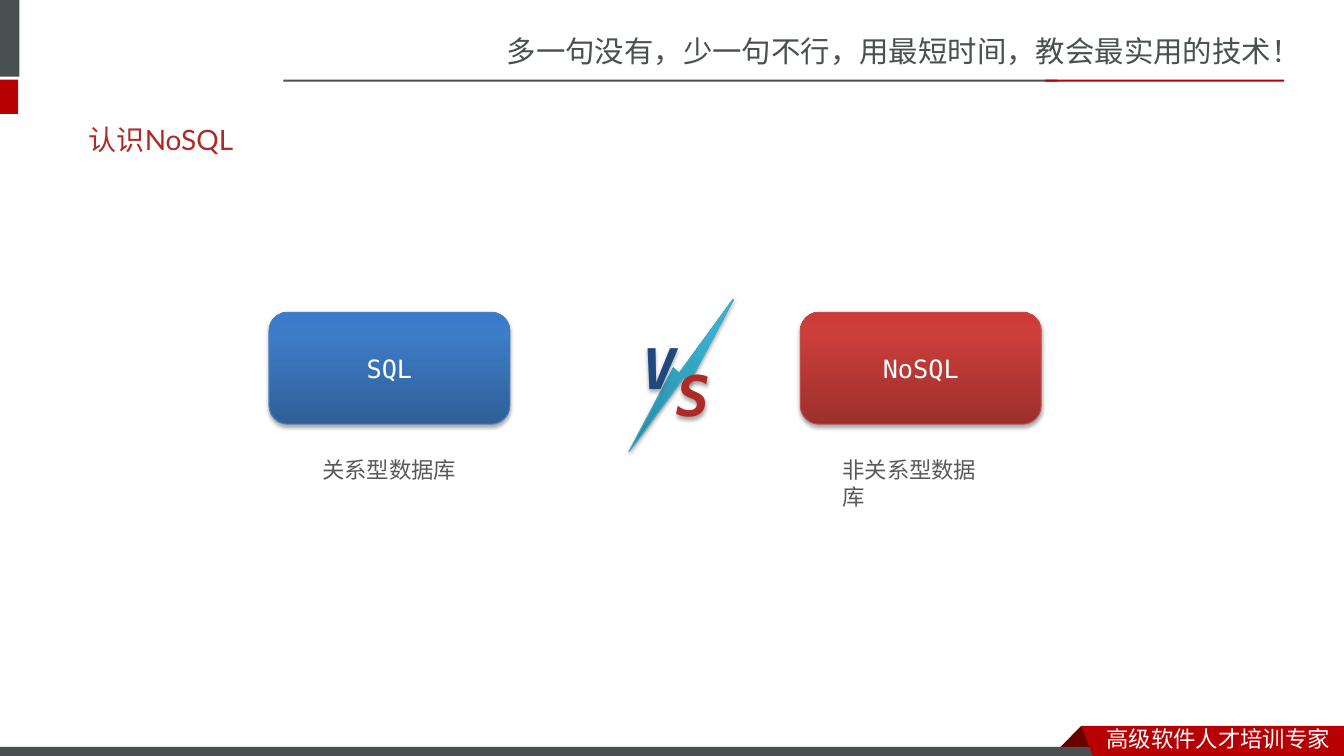
from dataclasses import dataclass
from lxml import etree
from pptx import Presentation
from pptx.dml.color import RGBColor
from pptx.enum.shapes import MSO_SHAPE
from pptx.enum.text import MSO_ANCHOR, PP_ALIGN
from pptx.oxml.ns import qn
from pptx.util import Cm, Pt

RECT, ROUND = MSO_SHAPE.RECTANGLE, MSO_SHAPE.ROUNDED_RECTANGLE
TOP, MIDDLE = MSO_ANCHOR.TOP, MSO_ANCHOR.MIDDLE
LEFT, CENTER = PP_ALIGN.LEFT, PP_ALIGN.CENTER


@dataclass(frozen=True)
class Theme:
    # Colours
    white: str = "FFFFFF"
    grey: str = "49504F"
    red: str = "B60004"
    fold: str = "680000"
    brick: str = "AD2A26"
    navy: str = "1F497D"
    soft: str = "595959"
    # Gradients from bottom to top, then the outline
    blue_box: tuple = ("2F5F99", "3D7CC7", "3A7CCB", "4B7EBC")
    red_box: tuple = ("9C2F2D", "CB3E3A", "CE3B37", "BF4C48")
    teal: tuple = ("2A88A2", "37B1D2", "34B4D6", "46AAC5")
    # Fonts and sizes
    mono: str = "DejaVu Sans Mono"
    latin: str = "Lato"
    asian: str = "Noto Sans CJK SC"
    motto: int = 21
    title: int = 20
    label: int = 18
    small: int = 16
    versus: int = 40


class Deck:
    def __init__(self, theme):
        self.theme = theme
        self.prs = Presentation()
        self.prs.slide_width, self.prs.slide_height = Cm(33.87), Cm(19.05)
        self.slide = self.prs.slides.add_slide(self.prs.slide_layouts[5])
        self.shapes = self.slide.shapes

    def letter(self, frame, text, size, color, font, align=LEFT, anchor=TOP, strong=False):
        frame.text = text
        frame.word_wrap = True
        frame.vertical_anchor = anchor
        para = frame.paragraphs[0]
        para.alignment = align
        run = para.runs[0]
        run.font.size, run.font.name = Pt(size), font
        run.font.color.rgb = RGBColor.from_string(color)
        run.font.bold = run.font.italic = strong
        asian = etree.SubElement(run.font._element, qn("a:ea"))
        asian.set("typeface", self.theme.asian)

    def title(self, text, *box):
        shape = self.shapes.title
        shape.left, shape.top, shape.width, shape.height = map(Cm, box)
        self.letter(shape.text_frame, text, self.theme.title, self.theme.brick,
                    self.theme.latin, anchor=MIDDLE)

    def text(self, text, box, size, color, font, strong=False):
        shape = self.shapes.add_textbox(*map(Cm, box))
        self.letter(shape.text_frame, text, size, color, font, strong=strong)
        return shape

    def paint(self, shape, color):
        shape.shadow.inherit = False
        shape.fill.solid()
        shape.fill.fore_color.rgb = RGBColor.from_string(color)
        shape.line.fill.background()

    def bar(self, color, *box):
        self.paint(self.shapes.add_shape(RECT, *map(Cm, box)), color)

    def outline(self, points):
        dots = [(Cm(x), Cm(y)) for x, y in points]
        form = self.shapes.build_freeform(*dots[0], scale=1)
        form.add_line_segments(dots[1:], close=True)
        return form.convert_to_shape()

    def shade(self, shape):
        shape.shadow.inherit = False
        effects = shape._element.spPr.find(qn("a:effectLst"))
        shadow = etree.SubElement(effects, qn("a:outerShdw"), blurRad=str(Pt(3.1)),
                                  dist=str(Pt(1.8)), dir="5400000", rotWithShape="0")
        black = etree.SubElement(shadow, qn("a:srgbClr"), val="000000")
        etree.SubElement(black, qn("a:alpha"), val="35000")

    def gloss(self, shape, tones, angle=90):
        shape.fill.gradient()
        shape.fill.gradient_angle = angle
        stops = shape._element.spPr.find(".//" + qn("a:gsLst"))
        for stop in list(stops):
            stops.remove(stop)
        for place, tone in zip((0, 80, 100), tones):
            stop = etree.SubElement(stops, qn("a:gs"), pos=str(place * 1000))
            etree.SubElement(stop, qn("a:srgbClr"), val=tone)
        shape.line.color.rgb = RGBColor.from_string(tones[3])
        shape.line.width = Pt(0.75)
        self.shade(shape)

    def card(self, text, tones, left):
        shape = self.shapes.add_shape(ROUND, Cm(left), Cm(7.87), Cm(6.07), Cm(2.82))
        self.gloss(shape, tones)
        self.letter(shape.text_frame, text, self.theme.label, self.theme.white,
                    self.theme.mono, CENTER, MIDDLE)


def main():
    theme = Theme()
    deck = Deck(theme)

    # Header
    deck.text("多一句没有，少一句不行，用最短时间，教会最实用的技术！",
              (12.52, 0.71, 21.36, 1.19), theme.motto, theme.grey, theme.asian)
    deck.bar(theme.grey, -0.15, 0, 0.64, 1.93)
    deck.bar(theme.red, -0.15, 2.01, 0.61, 0.86)
    deck.bar(theme.grey, 7.14, 2.01, 19.51, 0.05)
    deck.bar(theme.red, 26.34, 2.01, 6.02, 0.05)

    # Footer ribbon
    fold = [(27.25, 18.29), (27.81, 18.85), (27.79, 18.87), (26.72, 18.87), (26.7, 18.85)]
    ribbon = [(27.25, 18.29), (33.87, 18.29), (33.87, 19.15), (27.58, 19.15)]
    deck.paint(deck.outline(fold), theme.fold)
    deck.bar(theme.grey, -0.03, 18.82, 27.84, 0.23)
    deck.paint(deck.outline(ribbon), theme.red)
    deck.text("高级软件人才培训专家", (27.64, 18.16, 6.22, 0.94),
              theme.small, theme.white, theme.asian)

    # Title
    deck.title("认识NoSQL", 1.98, 2.79, 29.72, 1.45)

    # Lightning bolt
    bolt = [(18.49, 7.54), (17.37, 9.65), (17.22, 9.53), (15.9, 11.33),
            (15.85, 11.38), (16.97, 9.27), (17.12, 9.4), (18.44, 7.59)]
    deck.gloss(deck.outline(bolt), theme.teal, 48.7)

    # The two kinds of database
    for name, tones, left, note, start in (
            ("SQL", theme.blue_box, 6.78, "关系型数据库", 7.87),
            ("NoSQL", theme.red_box, 20.17, "非关系型数据库", 20.98)):
        deck.card(name, tones, left)
        deck.text(note, (start, 11.38, 4.4, 0.94), theme.small, theme.soft, theme.mono)

    # Versus letters
    for sign, color, box in (("V", theme.navy, (15.93, 8.28, 1.24, 2.03)),
                             ("S", theme.brick, (16.81, 8.97, 0.91, 1.96))):
        deck.shade(deck.text(sign, box, theme.versus, color, theme.mono, True))

    deck.prs.save("out.pptx")


if __name__ == "__main__":
    main()
